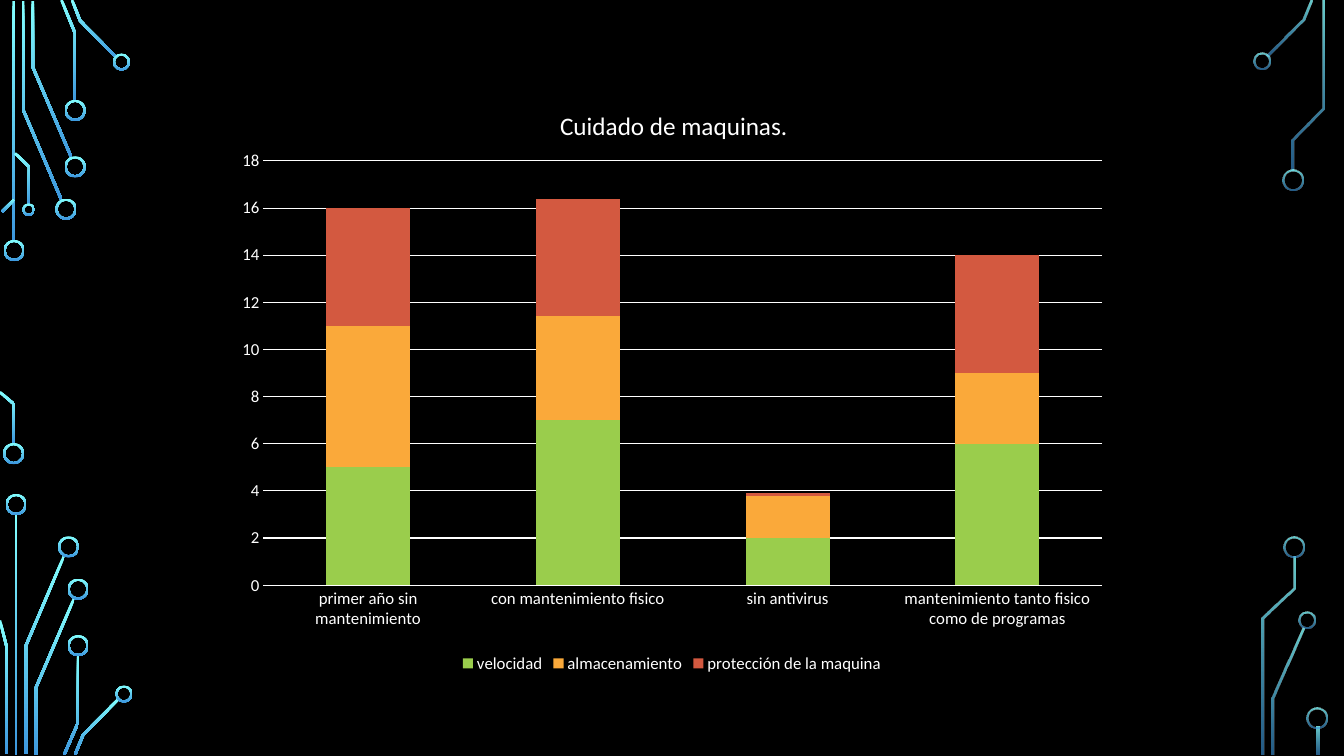
from math import hypot

from lxml.etree import SubElement
from pptx import Presentation
from pptx.chart.data import CategoryChartData
from pptx.dml.color import RGBColor
from pptx.enum.chart import XL_CHART_TYPE as ChartType
from pptx.enum.chart import XL_LEGEND_POSITION as LegendPosition
from pptx.enum.chart import XL_TICK_MARK as TickMark
from pptx.enum.shapes import MSO_SHAPE as Preset
from pptx.oxml import parse_xml
from pptx.oxml.ns import nsdecls, qn
from pptx.util import Inches, Pt

CELL = Inches(0.01)  # grid of the circuit drawing
COLUMNS, ROWS = 1333, 750
TRACE = 2.6  # trace width in cells
RIM = 2  # ring thickness in cells
FONT = "Calibri"
WHITE = "FFFFFF"

# Each corner: left column, top row, end opacities, traces (centre lines),
# rings (centre column, centre row, diameter)
CORNERS = [
    (0, 0, (100, 100),
     [[(13.5, 1), (13.5, 240)],
      [(23, 1), (23, 109), (61, 198.5)],
      [(32.5, 1), (32.5, 66.5), (71, 156.5)],
      [(61, 0), (74.5, 33), (74.5, 100)],
      [(71.5, 0), (79.5, 20.5), (115.5, 57)],
      [(2, 210), (14, 198)],
      [(0, 389), (14, 401), (14, 441)],
      [(15, 152), (29, 165.5), (29, 203)]],
     [(14, 248.5, 21), (13.5, 450, 21), (65.5, 207.5, 21), (74.5, 165.5, 21),
      (74.5, 109.5, 21), (120.5, 61.5, 17), (28.5, 208, 12.5)]),
    (0, 450, (100, 100),
     [[(16, 60), (16, 299)],
      [(25.5, 298), (25.5, 191), (63.5, 101.5)],
      [(6.5, 298), (6.5, 191), (0, 165.5)],
      [(35.5, 299), (35.5, 232.5), (73.5, 143.5)],
      [(63.5, 299), (77.5, 267), (77.5, 200)],
      [(74.5, 298.5), (82.5, 279), (118, 243)]],
     [(16, 50.5, 21), (68, 92.5, 21), (77.5, 134.5, 21), (77.5, 190.5, 21),
      (123, 238.5, 17)]),
    (1200, 0, (80, 60),
     [[(57, 55.5), (92.5, 19.5), (100.5, 0)],
      [(82, 169), (82, 138.5), (112.5, 107.5), (112.5, 1)]],
     [(51.5, 60.5, 17), (82.5, 178.5, 21)]),
    (1200, 450, (80, 60),
     [[(62.5, 299), (62.5, 243), (93, 173.5)],
      [(52.5, 299), (52.5, 163.5), (83.5, 133.5), (83.5, 102)],
      [(107.5, 271), (107.5, 299)]],
     [(96.5, 165.5, 17), (83, 92.5, 21), (106.5, 262, 21)]),
]

CATEGORIES = ["primer año sin mantenimiento", "con mantenimiento fisico",
              "sin antivirus", "mantenimiento tanto fisico como de programas"]
SERIES = [("velocidad", (5, 7, 2, 6), "9ACD4C"),
          ("almacenamiento", (6, 4.4, 1.8, 3), "FAA93A"),
          ("protección de la maquina", (5, 5, 0.1, 5), "D35940")]


def color(hex_text):
    return RGBColor.from_string(hex_text)


def format_font(font, size):
    font.name, font.size, font.bold = FONT, Pt(size), False
    font.color.rgb = color(WHITE)


def write(frame, text, size):
    frame.text = text
    format_font(frame.paragraphs[0].runs[0].font, size)


def paint(shape, opacities):
    """Vertical glow gradient, no outline, no shadow."""
    shape.shadow.inherit = False
    shape.line.fill.background()
    shape.fill.gradient()
    shape.fill.gradient_angle = 270
    stops = zip(shape.fill.gradient_stops, ("82FFFF", "3D97DE"), (0, 1), opacities)
    for stop, tint, position, opacity in stops:
        stop.color.rgb, stop.position = color(tint), position
    if min(opacities) < 100:
        for tint, opacity in zip(shape._element.spPr.iter(qn("a:srgbClr")), opacities):
            SubElement(tint, qn("a:alpha"), val=str(opacity * 1000))


def outline(points):
    """Closed outline with mitred corners around a centre line."""
    normals = []
    for (x1, y1), (x2, y2) in zip(points, points[1:]):
        length = hypot(x2 - x1, y2 - y1)
        normals.append(((y1 - y2) / length, (x2 - x1) / length))
    left, right = [], []
    befores, afters = normals[:1] + normals, normals + normals[-1:]
    for (x, y), (ax, ay), (bx, by) in zip(points, befores, afters):
        reach = TRACE / 2 / (1 + ax * bx + ay * by)
        dx, dy = (ax + bx) * reach, (ay + by) * reach
        left.append((x + dx, y + dy))
        right.append((x - dx, y - dy))
    return left + right[::-1]


def add_corner(page, left, top, opacities, traces, rings):
    for trace in traces:
        first, *others = [((left + x) * CELL, (top + y) * CELL)
                          for x, y in outline(trace)]
        builder = page.shapes.build_freeform(*first)
        builder.add_line_segments(others, close=True)
        paint(builder.convert_to_shape(), opacities)
    for x, y, size in rings:
        ring = page.shapes.add_shape(
            Preset.DONUT, int((left + x - size / 2) * CELL),
            int((top + y - size / 2) * CELL), int(size * CELL), int(size * CELL))
        ring.adjustments[0] = RIM / size
        paint(ring, opacities)


def set_layout(parent, before, inner=False, **shares):
    """Place a chart part by shares of the chart's size."""
    target = '<c:layoutTarget val="inner"/>' if inner else ""
    modes = '<c:xMode val="edge"/><c:yMode val="edge"/>'
    values = "".join(f'<c:{key} val="{share}"/>' for key, share in shares.items())
    for old in parent.findall(qn("c:layout")):
        parent.remove(old)
    parent.find(qn(before)).addprevious(parse_xml(
        f'<c:layout {nsdecls("c")}><c:manualLayout>{target}{modes}{values}'
        '</c:manualLayout></c:layout>'))


def add_care_chart(page, left, top, width, height):
    data = CategoryChartData()
    data.categories = CATEGORIES
    for name, values, _ in SERIES:
        data.add_series(name, values)
    chart = page.shapes.add_chart(ChartType.COLUMN_STACKED, left, top,
                                  width, height, data).chart
    format_font(chart.font, 12)

    # Title and legend
    chart.has_title = True
    write(chart.chart_title.text_frame, "Cuidado de maquinas.", 18)
    chart.chart_title.include_in_layout = False
    set_layout(chart.chart_title._element, "c:overlay", x=0.37, y=0.04)
    chart.has_legend = True
    chart.legend.position = LegendPosition.BOTTOM
    chart.legend.include_in_layout = False
    format_font(chart.legend.font, 12)

    # Columns
    plot = chart.plots[0]
    plot.gap_width, plot.overlap, plot.vary_by_categories = 150, 100, False
    for series, (_, _, tint) in zip(plot.series, SERIES):
        series.format.fill.solid()
        series.format.fill.fore_color.rgb = color(tint)
    set_layout(plot._element.getparent(), "c:barChart", inner=True,
               x=0.044, y=0.136, w=0.936, h=0.71)

    # Axes and gridlines
    values, categories = chart.value_axis, chart.category_axis
    for axis in (values, categories):
        axis.major_tick_mark = axis.minor_tick_mark = TickMark.NONE
        format_font(axis.tick_labels.font, 12)
    values.minimum_scale, values.maximum_scale, values.major_unit = 0, 18, 2
    values.has_major_gridlines = True
    values.format.line.fill.background()
    for line in (values.major_gridlines.format.line, categories.format.line):
        line.color.rgb, line.width = color(WHITE), Pt(0.75)


def main():
    deck = Presentation()
    deck.slide_width, deck.slide_height = COLUMNS * CELL, ROWS * CELL
    page = deck.slides.add_slide(deck.slide_layouts[6])
    page.background.fill.solid()
    page.background.fill.fore_color.rgb = color("000000")
    for corner in CORNERS:
        add_corner(page, *corner)
    add_care_chart(page, 222 * CELL, 79 * CELL, 889 * CELL, 593 * CELL)
    deck.save("out.pptx")


if __name__ == "__main__":
    main()
